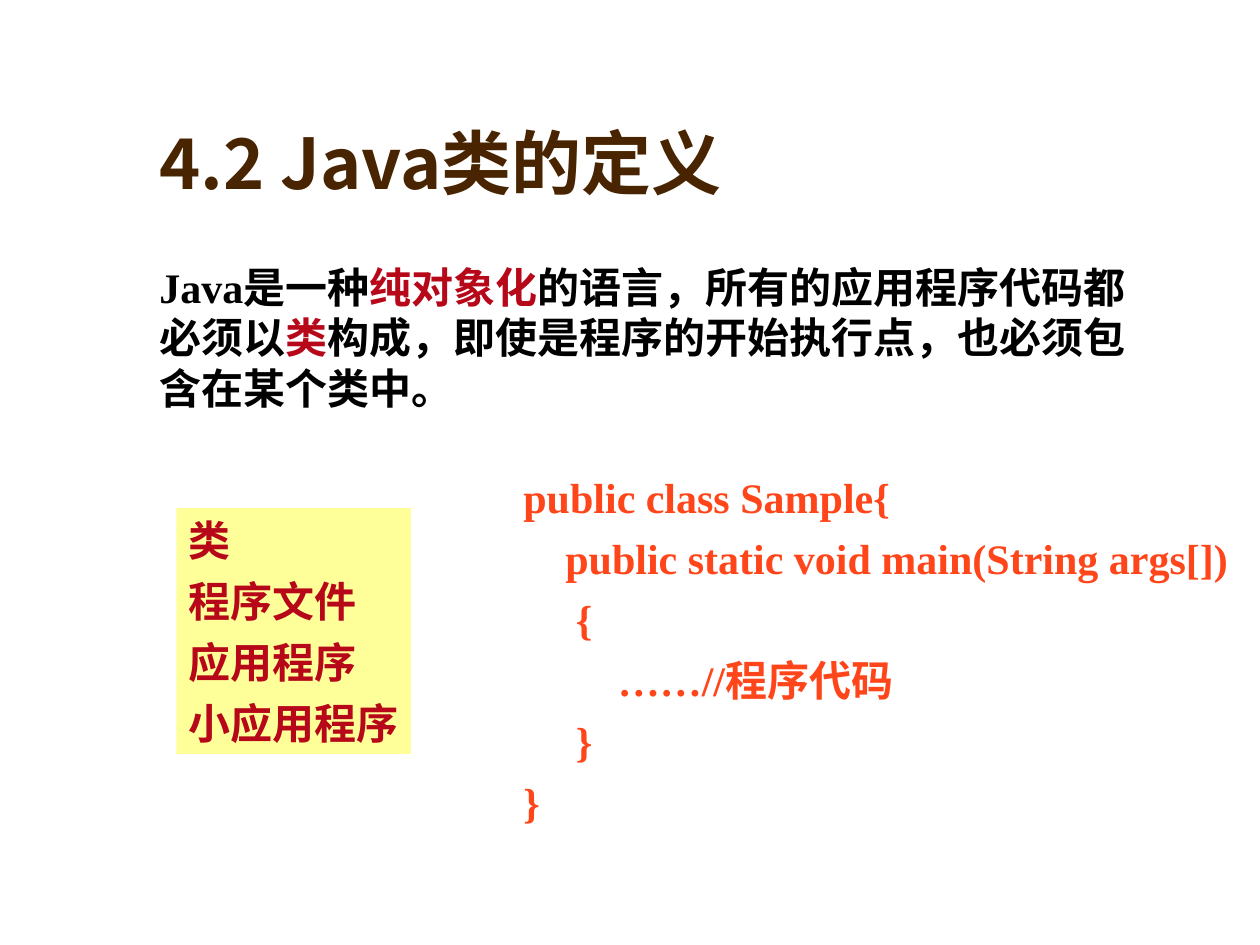
"""Build the slide that introduces the definition of a Java class."""
import pptx
import pptx.dml.color
import pptx.enum.text
import pptx.oxml
import pptx.oxml.ns
import pptx.util

Pt = pptx.util.Pt
Anchor = pptx.enum.text.MSO_ANCHOR
AutoSize = pptx.enum.text.MSO_AUTO_SIZE

COLORS = {
    "title": "482400",
    "body": "000000",
    "key": "B60819",
    "code": "FF461B",
    "paper": "FFFFFF",
    "note": "FFFF99",
}
CJK_FONT = "Noto Sans CJK SC"
LATIN_FONT = "Times New Roman"


def add_text(box, anchor, fill=None):
    area = slide.shapes.add_textbox(*[Pt(length) for length in box])
    if fill:
        area.fill.solid()
        area.fill.fore_color.rgb = pptx.dml.color.RGBColor.from_string(COLORS[fill])
    frame = area.text_frame
    frame.word_wrap = True
    frame.vertical_anchor = anchor
    return frame


def style_run(run, color, size=24, font=LATIN_FONT):
    run.font.size = Pt(size)
    run.font.bold = True
    run.font.name = font
    run.font.color.rgb = pptx.dml.color.RGBColor.from_string(COLORS[color])
    east_asian = pptx.oxml.parse_xml(
        f'<a:ea {pptx.oxml.ns.nsdecls("a")} typeface="{CJK_FONT}"/>'
    )
    run.font._element.append(east_asian)


deck = pptx.Presentation()
deck.slide_width, deck.slide_height = Pt(720), Pt(540)
slide = deck.slides.add_slide(deck.slide_layouts[6])

title = add_text((84, 30, 612, 90), Anchor.BOTTOM)
title.text = "4.2 Java类的定义"
style_run(title.paragraphs[0].runs[0], "title", 40, CJK_FONT)

intro = add_text((84, 145.8, 568, 93.6), Anchor.MIDDLE)
intro.auto_size = AutoSize.SHAPE_TO_FIT_TEXT
for words, color in [
    ("Java是一种", "body"),
    ("纯对象化", "key"),
    ("的语言，所有的应用程序代码都必须以", "body"),
    ("类", "key"),
    ("构成，即使是程序的开始执行点，也必须包含在某个类中。", "body"),
]:
    run = intro.paragraphs[0].add_run()
    run.text = words
    style_run(run, color)

sample_code = [
    "public class Sample{",
    "    public static void main(String args[])",
    "     {",
    "         ……//程序代码",
    "     }",
    "}",
]
class_uses = ["类", "程序文件", "应用程序", "小应用程序"]

for box, anchor, fill, color, lines in [
    ((292, 265.7, 417, 210.2), Anchor.MIDDLE, "paper", "code", sample_code),
    ((100.8, 290.4, 134, 140.4), Anchor.TOP, "note", "key", class_uses),
]:
    panel = add_text(box, anchor, fill)
    panel.auto_size = AutoSize.SHAPE_TO_FIT_TEXT
    panel.margin_right = Pt(0)
    panel.text = "\n".join(lines)
    for index, line in enumerate(panel.paragraphs):
        line.space_before = Pt(6 if index else 0)
        style_run(line.runs[0], color)

deck.save("out.pptx")
